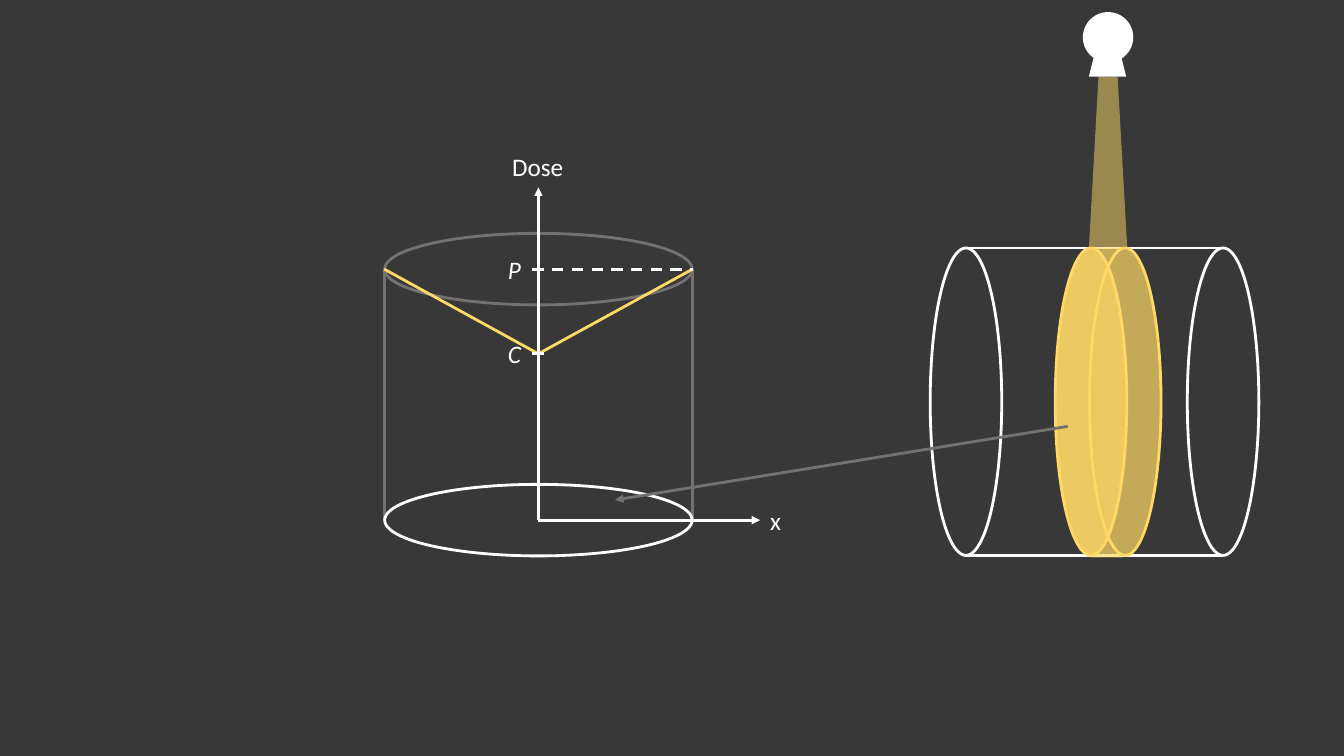
from lxml import etree
from pptx import Presentation
from pptx.dml.color import RGBColor
from pptx.enum.dml import MSO_LINE
from pptx.enum.shapes import MSO_CONNECTOR, MSO_SHAPE
from pptx.enum.text import MSO_AUTO_SIZE
from pptx.oxml.ns import qn
from pptx.util import Inches, Pt

STRAIGHT = MSO_CONNECTOR.STRAIGHT
OVAL = MSO_SHAPE.OVAL
TRAPEZOID = MSO_SHAPE.TRAPEZOID
DASH = MSO_LINE.DASH
FIT_SHAPE = MSO_AUTO_SIZE.SHAPE_TO_FIT_TEXT

DARK = RGBColor(0x38, 0x38, 0x38)
WHITE = RGBColor(0xFF, 0xFF, 0xFF)
GRAY = RGBColor(0x76, 0x71, 0x71)
YELLOW = RGBColor(0xFF, 0xD9, 0x66)

LINE_WIDTH = Pt(2)
DISC_LONG, DISC_SHORT = 3.05, 0.71
CURVE_STEPS = 16

# Dose plot: axis, cylinder edges and dose levels
LEFT, AXIS, RIGHT = 3.81, 5.34, 6.87
BASE, PERIPHERY, CENTRE = 5.16, 2.67, 3.51

# Scanned cylinder lying on its side
SCAN_TOP, SCAN_BOTTOM = 2.46, 5.51
SCAN_LEFT, SCAN_RIGHT = 9.58, 12.13
SLICE_LEFT, SLICE_RIGHT = 10.82, 11.16


def paint(shape, fill=None, line=None, opacity=100):
    """Set fill, opacity and outline of a shape."""
    shape.shadow.inherit = False
    if fill is None:
        shape.fill.background()
    else:
        shape.fill.solid()
        shape.fill.fore_color.rgb = fill
        if opacity < 100:
            color = shape.fill._xPr.find(qn("a:solidFill"))[0]
            etree.SubElement(color, qn("a:alpha"), val=str(opacity * 1000))
    if line is None:
        shape.line.fill.background()
    else:
        shape.line.color.rgb = line
        shape.line.width = LINE_WIDTH


def add_figure(shapes, kind, left, top, width, height, **colors):
    figure = shapes.add_shape(kind, Inches(left), Inches(top),
                              Inches(width), Inches(height))
    paint(figure, **colors)
    return figure


def add_disc(shapes, center_x, center_y, rotation=0, **colors):
    disc = add_figure(shapes, OVAL, center_x - DISC_LONG / 2,
                      center_y - DISC_SHORT / 2, DISC_LONG, DISC_SHORT, **colors)
    disc.rotation = rotation


def add_line(shapes, start, end, color, arrow=False, dashed=False):
    line = shapes.add_connector(STRAIGHT, *map(Inches, start + end))
    line.line.color.rgb = color
    line.line.width = LINE_WIDTH
    if dashed:
        line.line.dash_style = DASH
    if arrow:
        etree.SubElement(line.line._get_or_add_ln(), qn("a:tailEnd"), type="triangle")
    etree.SubElement(line._element.spPr, qn("a:effectLst"))


def add_label(shapes, text, left, top, width, italic=False):
    box = shapes.add_textbox(Inches(left), Inches(top), Inches(width), Inches(0.4))
    box.text_frame.word_wrap = False
    box.text_frame.auto_size = FIT_SHAPE
    para = box.text_frame.paragraphs[0]
    para.text = text
    para.font.name = "Calibri"
    para.font.size = Pt(18)
    para.font.italic = italic
    para.font.color.rgb = WHITE


def curve_points(start, control_1, control_2, end):
    """Points along a cubic curve, without its start."""
    points = []
    for step in range(1, CURVE_STEPS + 1):
        t = step / CURVE_STEPS
        weights = ((1 - t) ** 3, 3 * t * (1 - t) ** 2, 3 * t * t * (1 - t), t ** 3)
        corners = (start, control_1, control_2, end)
        points.append(tuple(Inches(sum(w * corner[axis] for w, corner in zip(weights, corners)))
                            for axis in (0, 1)))
    return points


def add_slice_body(shapes):
    """Crescent that joins the two faces of the irradiated slice."""
    start = (10.79, 2.46)
    curves = [
        ((10.58, 2.53), (10.46, 3.51), (10.46, 4.02)),
        ((10.47, 4.53), (10.53, 5.41), (10.82, 5.53)),
        ((10.96, 5.53), (11.01, 5.53), (11.14, 5.53)),
        ((10.82, 5.22), (10.8, 4.38), (10.8, 4.02)),
        ((10.81, 3.66), (10.84, 2.61), (11.13, 2.46)),
        ((10.99, 2.46), (10.95, 2.46), (10.79, 2.46)),
    ]
    builder = shapes.build_freeform(Inches(start[0]), Inches(start[1]), scale=1.0)
    for curve in curves:
        builder.add_line_segments(curve_points(start, *curve), close=False)
        start = curve[-1]
    builder.add_line_segments([], close=True)
    paint(builder.convert_to_shape(), fill=YELLOW, opacity=70)


def add_dose_plot(shapes):
    # Cylinder wall and axes
    add_disc(shapes, AXIS, PERIPHERY, line=GRAY)
    for edge in (LEFT, RIGHT):
        add_line(shapes, (edge, PERIPHERY), (edge, BASE), GRAY)
    for tip in ((AXIS, 1.86), (7.54, BASE)):
        add_line(shapes, (AXIS, BASE), tip, WHITE, arrow=True)
    add_disc(shapes, AXIS, BASE, line=WHITE)
    add_label(shapes, "Dose", 4.98, 1.45, 0.72)
    add_label(shapes, "x", 7.54, 4.96, 0.31)

    # Dose profile and its levels
    for edge in (LEFT, RIGHT):
        add_line(shapes, (edge, PERIPHERY), (AXIS, CENTRE), YELLOW)
    for name, level, end in (("P", PERIPHERY, RIGHT), ("C", CENTRE, 5.4)):
        add_line(shapes, (5.28, level), (end, level), WHITE, dashed=True)
        add_label(shapes, name, 4.94, level - 0.2, 0.33, italic=True)


def add_scanned_cylinder(shapes):
    middle = (SCAN_TOP + SCAN_BOTTOM) / 2
    for end in (SCAN_LEFT, SCAN_RIGHT):
        add_disc(shapes, end, middle, rotation=90, line=WHITE)
    for side in (SCAN_TOP, SCAN_BOTTOM):
        add_line(shapes, (SCAN_LEFT, side), (SCAN_RIGHT, side), WHITE)
    for face in (SLICE_LEFT, SLICE_RIGHT):
        add_disc(shapes, face, middle, rotation=90, fill=YELLOW, line=YELLOW, opacity=70)
    add_slice_body(shapes)


def add_tube(shapes):
    add_figure(shapes, OVAL, 10.74, 0.12, 0.5, 0.5, fill=WHITE)
    add_figure(shapes, TRAPEZOID, 10.8, 0.46, 0.37, 0.3, fill=WHITE)


def main():
    deck = Presentation()
    deck.slide_width, deck.slide_height = Inches(13.33), Inches(7.5)
    page = deck.slides.add_slide(deck.slide_layouts[6])
    page.background.fill.solid()
    page.background.fill.fore_color.rgb = DARK

    add_dose_plot(page.shapes.add_group_shape().shapes)
    add_scanned_cylinder(page.shapes)

    # Beam, its source, and the pointer from slice to plot
    add_figure(page.shapes, TRAPEZOID, 10.8, 0.76, 0.38, 1.7, fill=YELLOW, opacity=50)
    add_tube(page.shapes.add_group_shape().shapes)
    add_line(page.shapes, (10.59, 4.23), (6.1, 4.96), GRAY, arrow=True)
    deck.save("out.pptx")


if __name__ == "__main__":
    main()
